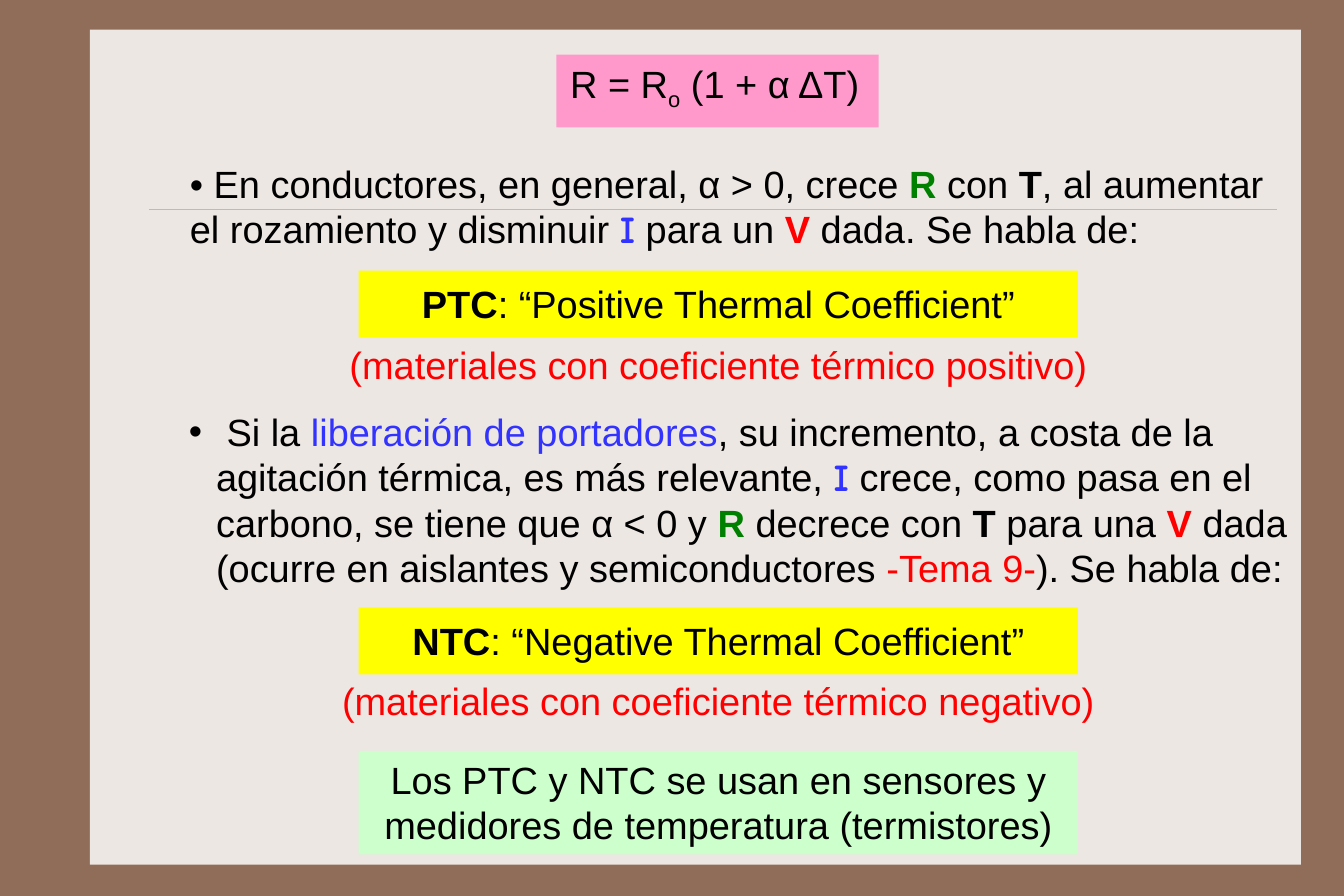
from collections import namedtuple

from lxml import etree
from pptx import Presentation
from pptx.dml.color import RGBColor
from pptx.enum.shapes import MSO_CONNECTOR, MSO_SHAPE
from pptx.enum.text import MSO_ANCHOR, PP_ALIGN
from pptx.oxml.ns import qn
from pptx.util import Inches, Pt

RECTANGLE = MSO_SHAPE.RECTANGLE
STRAIGHT = MSO_CONNECTOR.STRAIGHT
TOP, MIDDLE = MSO_ANCHOR.TOP, MSO_ANCHOR.MIDDLE
LEFT, CENTER = PP_ALIGN.LEFT, PP_ALIGN.CENTER

COLORS = {
    "background": "906D58", "panel": "EDE7E3", "rule": "CBBD83",
    "black": "000000", "red": "FF0000", "green": "008000", "blue": "3333FF",
    "pink": "FF99CC", "yellow": "FFFF00", "mint": "CCFFCC",
}
BODY_FONT, CURRENT_FONT = "Arial", "Comic Neue"
PADDING = (0.1, 0.09, 0.1, 0.09)
TIGHT_PADDING = (0.1, 0.05, 0.1, 0.05)
FORMULA_PADDING = (0.12, 0.08, 0.12, 0.16)
HANGING_INDENT = 0.24

Box = namedtuple("Box", "left top width height")
Part = namedtuple("Part", "text color bold font baseline",
                  defaults=("black", False, BODY_FONT, 0))

CURRENT = Part("I", "blue", True, CURRENT_FONT)
RESISTANCE = Part("R", "green", True)
TEMPERATURE = Part("T", bold=True)
VOLTAGE = Part("V", "red", True)


def color(name):
    """Return the named colour."""
    return RGBColor.from_string(COLORS[name])


def share(box, left, top, width, height):
    """Return the part of a box given in percent of its sides."""
    return Box(int(box.left + box.width * left / 100),
               int(box.top + box.height * top / 100),
               int(box.width * width / 100), int(box.height * height / 100))


def add_block(slide, box, fill):
    """Add a plain filled rectangle."""
    shape = slide.shapes.add_shape(RECTANGLE, *box)
    shape.shadow.inherit = False
    shape.fill.solid()
    shape.fill.fore_color.rgb = color(fill)
    shape.line.fill.background()
    return shape


def write(shape, parts, padding=PADDING, align=CENTER, anchor=TOP, wrap=True):
    """Write one paragraph of styled parts into a shape."""
    frame = shape.text_frame
    frame.word_wrap = wrap
    frame.vertical_anchor = anchor
    (frame.margin_left, frame.margin_top,
     frame.margin_right, frame.margin_bottom) = map(Inches, padding)
    paragraph = frame.paragraphs[0]
    paragraph.alignment = align
    paragraph.font.size = Pt(24)
    for part in parts:
        run = paragraph.add_run()
        run.text = part.text
        run.font.name = part.font
        run.font.bold = part.bold
        run.font.color.rgb = color(part.color)
        if part.baseline:
            run._r.get_or_add_rPr().set("baseline", str(part.baseline * 1000))
    return paragraph


def draw_panel(slide, box):
    """Draw the light panel with its thin rule."""
    add_block(slide, box, "panel")
    rule = share(box, 4.89, 21.53, 93.14, 0)
    line = slide.shapes.add_connector(
        STRAIGHT, rule.left, rule.top, rule.left + rule.width, rule.top)
    line.line.color.rgb = color("rule")
    line.line.width = Pt(0.25)
    etree.SubElement(line._element.spPr, qn("a:effectLst"))


def draw_formula(slide, box):
    """Draw the resistance formula."""
    parts = [Part("R = R"), Part("o", baseline=-25), Part(" (1 + α ΔT)")]
    write(add_block(slide, box, "pink"), parts, FORMULA_PADDING, LEFT, MIDDLE, False)


def draw_statement(slide, box, parts, bullet=False):
    """Draw a left-aligned statement, with a hanging bullet if asked."""
    paragraph = write(slide.shapes.add_textbox(*box), parts, align=LEFT)
    if bullet:
        properties = paragraph._p.get_or_add_pPr()
        properties.set("marL", str(Inches(HANGING_INDENT)))
        properties.set("indent", str(-Inches(HANGING_INDENT)))
        properties.insert(0, etree.Element(qn("a:buFont"), typeface=BODY_FONT))
        properties.insert(1, etree.Element(qn("a:buChar"), char="•"))


def draw_coefficient(slide, box, initials, name, translation):
    """Draw a coefficient's label with its translation below."""
    label = add_block(slide, share(box, 0, 0, 100, 51), "yellow")
    write(label, [Part(initials, bold=True), Part(f": “{name}”")])
    caption = slide.shapes.add_textbox(*share(box, -4, 49.3, 108, 43.2))
    write(caption, [Part(f"({translation})", "red")], TIGHT_PADDING, wrap=False)


def draw_conclusion(slide, box):
    """Draw the closing remark on thermistors."""
    text = "Los PTC y NTC se usan en sensores y medidores de temperatura (termistores)"
    write(add_block(slide, box, "mint"), [Part(text)], TIGHT_PADDING)


def draw_slide(slide, box):
    """Draw the whole thermal coefficient slide."""
    panel = share(box, 6.69, 3.3, 90.1, 93.2)
    draw_panel(slide, panel)
    draw_formula(slide, share(panel, 38.53, 3, 26.6, 8.72))
    draw_statement(slide, share(panel, 7.33, 14.44, 92, 13.49), [
        Part("• En conductores, en general, α > 0, crece "), RESISTANCE,
        Part(" con "), TEMPERATURE,
        Part(", al aumentar el rozamiento y disminuir "), CURRENT,
        Part(" para un "), VOLTAGE, Part(" dada. Se habla de:")])
    draw_coefficient(slide, share(panel, 22.2, 28.88, 59.4, 15.76), "PTC",
                     "Positive Thermal Coefficient",
                     "materiales con coeficiente térmico positivo")
    draw_statement(slide, share(panel, 7.24, 44.14, 95.3, 24.52), [
        Part(" Si la "), Part("liberación de portadores", "blue"),
        Part(", su incremento, a costa de la agitación térmica, es más relevante, "),
        CURRENT, Part(" crece, como pasa en el carbono, se tiene que α < 0 y "),
        RESISTANCE, Part(" decrece con "), TEMPERATURE,
        Part(" para una "), VOLTAGE,
        Part(" dada (ocurre en aislantes y semiconductores "),
        Part("-Tema 9-", "red"), Part("). Se habla de:")], bullet=True)
    draw_coefficient(slide, share(panel, 22.2, 69.21, 59.4, 15.76), "NTC",
                     "Negative Thermal Coefficient",
                     "materiales con coeficiente térmico negativo")
    draw_conclusion(slide, share(panel, 22.2, 86.38, 59.4, 12.4))


def main():
    """Build and save the presentation."""
    presentation = Presentation()
    presentation.slide_width = Pt(850.5)
    presentation.slide_height = Pt(567)
    slide = presentation.slides.add_slide(presentation.slide_layouts[6])
    slide.background.fill.solid()
    slide.background.fill.fore_color.rgb = color("background")
    draw_slide(slide, Box(0, 0, presentation.slide_width, presentation.slide_height))
    presentation.save("out.pptx")


if __name__ == "__main__":
    main()
